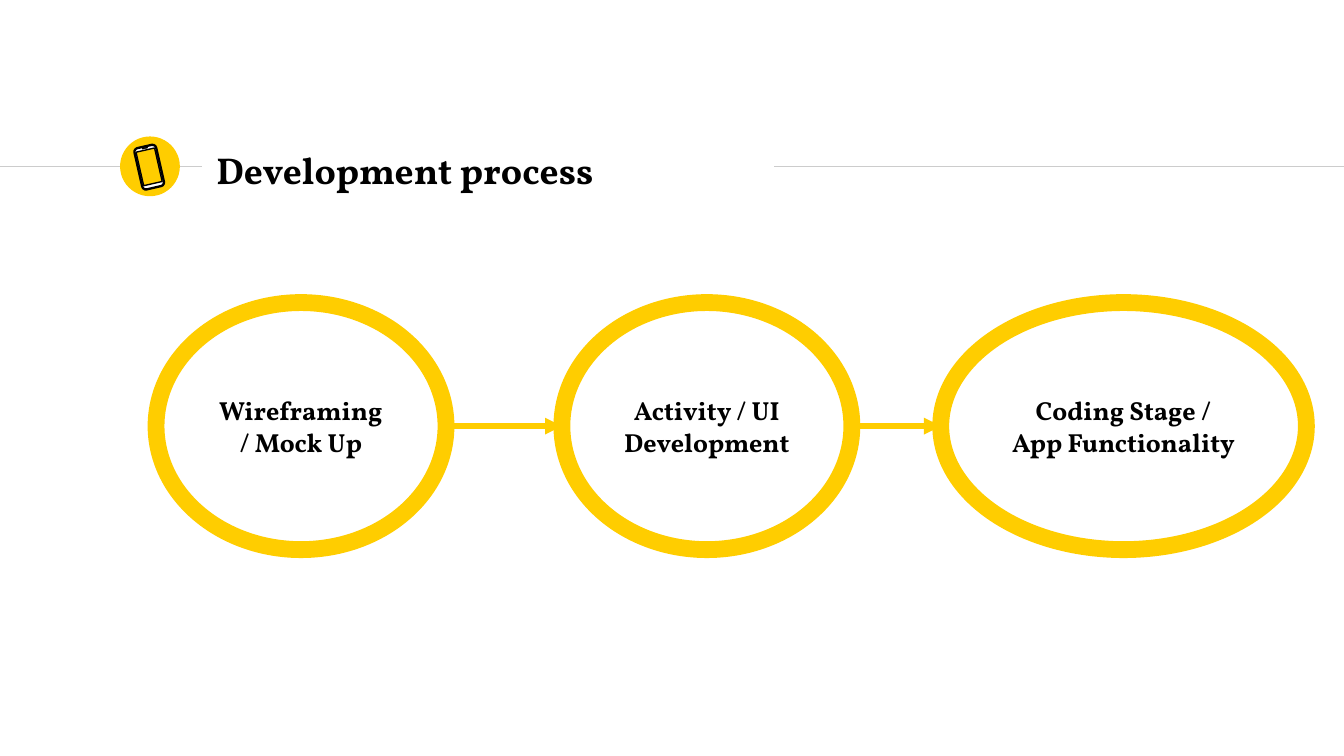
"""Build the "Development process" slide: a ruled heading above three linked stages."""
from itertools import pairwise
from typing import NamedTuple

from pptx import Presentation
from pptx.dml.color import RGBColor
from pptx.enum.shapes import MSO_CONNECTOR, MSO_SHAPE
from pptx.enum.text import MSO_ANCHOR, PP_ALIGN
from pptx.oxml import parse_xml
from pptx.oxml.ns import nsdecls
from pptx.shapes.autoshape import Shape
from pptx.shapes.connector import Connector
from pptx.slide import Slide
from pptx.util import Cm, Pt

YELLOW, GREY, BLACK, WHITE = "FFCD00", "CCCCCC", "000000", "FFFFFF"
RULE_TOP = 3.15
STAGE_TOP, STAGE_HEIGHT = 5.72, 4.67
PHONE_ANGLE = -12.8
FONT_FORMAT = {"name": "Vollkorn", "bold": True}
FRAME_FORMAT = {
    "word_wrap": True,
    "vertical_anchor": MSO_ANCHOR.MIDDLE,
    "margin_left": Cm(0.25),
    "margin_right": Cm(0.25),
    "margin_top": Cm(0.25),
    "margin_bottom": Cm(0.25),
}


class Box(NamedTuple):
    left: float
    top: float
    width: float
    height: float


class Stage(NamedTuple):
    label: str
    left: float
    width: float


class PhonePart(NamedTuple):
    kind: MSO_SHAPE
    box: Box
    fill: str
    line_width: float


STAGES = [
    Stage("Wireframing / Mock Up", 2.95, 5.48),
    Stage("Activity / UI Development", 10.62, 5.48),
    Stage("Coding Stage /\vApp Functionality", 17.78, 6.91),
]
PHONE_PARTS = [
    PhonePart(MSO_SHAPE.ROUNDED_RECTANGLE, Box(2.61, 2.76, 0.42, 0.8), WHITE, 1.25),
    PhonePart(MSO_SHAPE.RECTANGLE, Box(2.64, 2.83, 0.36, 0.65), YELLOW, 0.75),
    PhonePart(MSO_SHAPE.RECTANGLE, Box(2.69, 2.79, 0.1, 0.02), BLACK, 0.25),
]


def color(value: str) -> RGBColor:
    """Turn a hex string into a colour."""
    return RGBColor.from_string(value)


def write_text(shape: Shape, text: str, size: float, alignment: PP_ALIGN) -> None:
    """Write one formatted paragraph into a shape."""
    frame = shape.text_frame
    for name, value in FRAME_FORMAT.items():
        setattr(frame, name, value)
    frame.text = text
    paragraph = frame.paragraphs[0]
    paragraph.alignment = alignment
    for name, value in {**FONT_FORMAT, "size": Pt(size)}.items():
        for run in paragraph.runs:
            setattr(run.font, name, value)
            run.font.color.rgb = color(BLACK)


def add_shape(slide: Slide, kind: MSO_SHAPE, box: Box, fill: str | None = None,
              line: str | None = None, line_width: float = 0) -> Shape:
    """Add a preset shape without a shadow."""
    shape = slide.shapes.add_shape(kind, *map(Cm, box))
    shape.shadow.inherit = False
    if fill:
        shape.fill.solid()
        shape.fill.fore_color.rgb = color(fill)
    else:
        shape.fill.background()
    if line:
        shape.line.color.rgb = color(line)
        shape.line.width = Pt(line_width)
    else:
        shape.line.fill.background()
    return shape


def add_rule(slide: Slide, start: float, end: float, top: float,
             line: str, width: float) -> Connector:
    """Add a horizontal line without a shadow."""
    connector = slide.shapes.add_connector(
        MSO_CONNECTOR.STRAIGHT, Cm(start), Cm(top), Cm(end), Cm(top))
    connector.line.color.rgb = color(line)
    connector.line.width = Pt(width)
    connector._element.spPr.append(parse_xml(f"<a:effectLst {nsdecls('a')}/>"))
    return connector


def add_arrow(slide: Slide, source: Stage, target: Stage) -> None:
    """Add an arrow from one stage to the next."""
    middle = STAGE_TOP + STAGE_HEIGHT / 2
    connector = add_rule(slide, source.left + source.width, target.left, middle, YELLOW, 3)
    connector.line._get_or_add_ln().append(
        parse_xml(f'<a:tailEnd {nsdecls("a")} type="triangle"/>'))


def add_heading(slide: Slide) -> None:
    """Add the title with its rules and phone badge."""
    add_rule(slide, 0, 3.81, RULE_TOP, GREY, 0.75)
    add_shape(slide, MSO_SHAPE.OVAL, Box(2.27, 2.58, 1.13, 1.13), YELLOW)
    add_rule(slide, 14.63, 25.4, RULE_TOP, GREY, 0.75)
    title = slide.shapes.add_textbox(*map(Cm, Box(3.84, 2.6, 11.7, 1.22)))
    write_text(title, "Development process", 20, PP_ALIGN.LEFT)
    for part in PHONE_PARTS:
        shape = add_shape(slide, part.kind, part.box, part.fill, BLACK, part.line_width)
        shape.rotation = PHONE_ANGLE


def add_stage(slide: Slide, stage: Stage) -> None:
    """Add a stage as a labelled ring."""
    box = Box(stage.left, STAGE_TOP, stage.width, STAGE_HEIGHT)
    ring = add_shape(slide, MSO_SHAPE.OVAL, box, line=YELLOW, line_width=9)
    write_text(ring, stage.label, 14, PP_ALIGN.CENTER)


def main() -> None:
    """Build and save the presentation."""
    presentation = Presentation()
    presentation.slide_width, presentation.slide_height = Cm(25.4), Cm(14.29)
    slide = presentation.slides.add_slide(presentation.slide_layouts[6])
    add_heading(slide)
    for stage in STAGES:
        add_stage(slide, stage)
    for source, target in pairwise(STAGES):
        add_arrow(slide, source, target)
    presentation.save("out.pptx")


if __name__ == "__main__":
    main()
